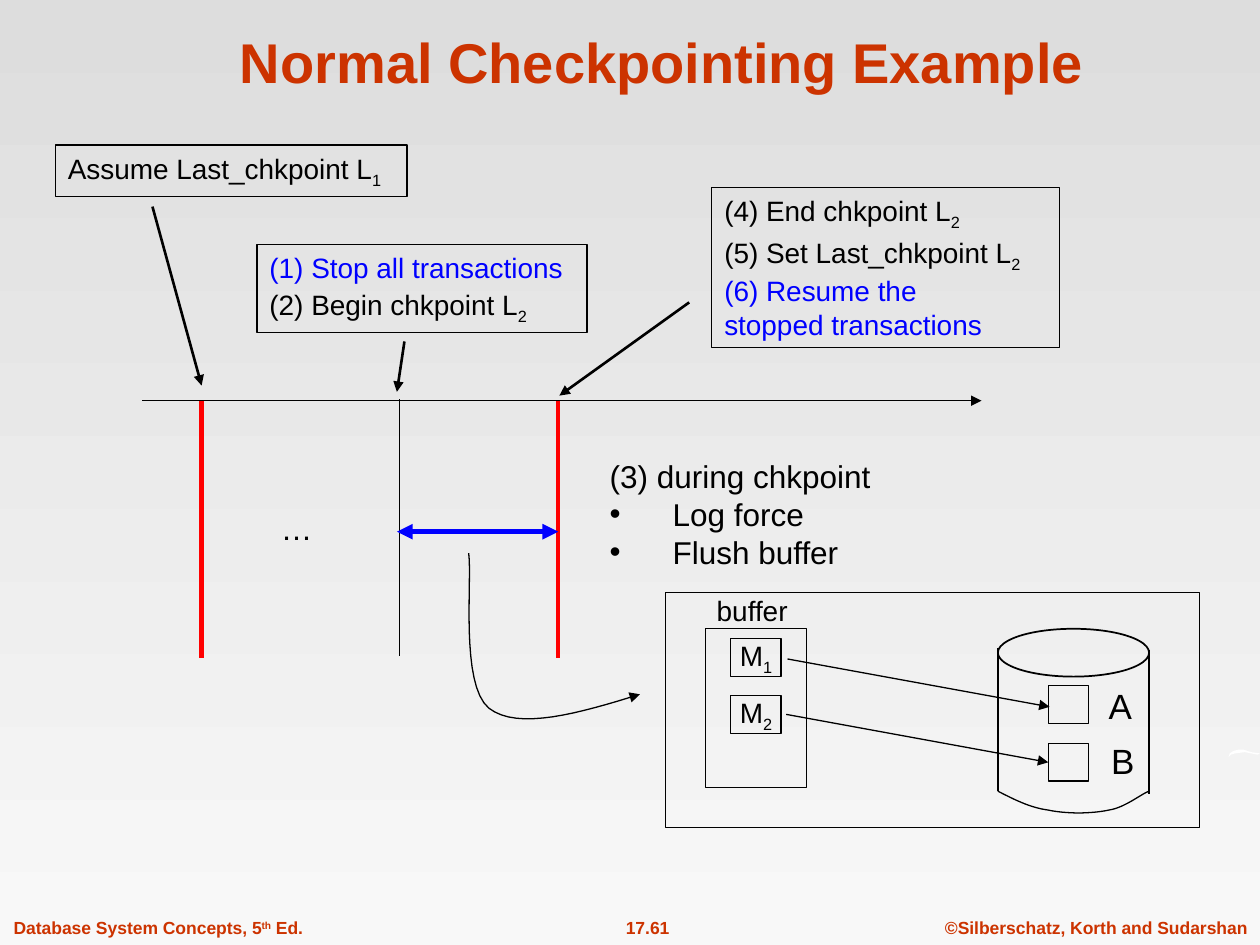
from lxml import etree
from pptx import Presentation
from pptx.dml.color import RGBColor
from pptx.enum.shapes import MSO_CONNECTOR, MSO_SHAPE
from pptx.enum.text import MSO_ANCHOR, PP_ALIGN
from pptx.oxml.ns import qn
from pptx.util import Inches, Pt

BLACK, BLUE, RED, RUST = "000000", "0000FF", "FF0000", "CC3300"


def color(hex_text):
    return RGBColor.from_string(hex_text)


def set_line(shape, hex_text=BLACK, width=0.75, arrows=()):
    """Format the outline; arrows may hold "headEnd" and "tailEnd"."""
    shape.line.color.rgb = color(hex_text)
    shape.line.width = Pt(width)
    for end in arrows:
        etree.SubElement(shape.line._get_or_add_ln(), qn(f"a:{end}"), type="triangle")


def add_line(page, start, end, **line_format):
    line = page.shapes.add_connector(
        MSO_CONNECTOR.STRAIGHT, *map(Inches, start), *map(Inches, end))
    set_line(line, **line_format)
    etree.SubElement(line._element.spPr, qn("a:effectLst"))


def add_arrow(page, start, end, **line_format):
    add_line(page, start, end, arrows=["tailEnd"], **line_format)


def add_shape(page, at, kind=MSO_SHAPE.RECTANGLE, width=0.75):
    shape = page.shapes.add_shape(kind, *map(Inches, at))
    shape.shadow.inherit = False
    shape.fill.background()
    set_line(shape, width=width)
    return shape


def add_path(page, points, fill=None, **line_format):
    """Draw a filled outline, or an open line when there is no fill."""
    corners = [(Inches(x), Inches(y)) for x, y in points]
    builder = page.shapes.build_freeform(*corners[0])
    builder.add_line_segments(corners[1:], close=fill is not None)
    shape = builder.convert_to_shape()
    shape.shadow.inherit = False
    if fill:
        shape.fill.solid()
        shape.fill.fore_color.rgb = color(fill)
        shape.line.fill.background()
    else:
        shape.fill.background()
        set_line(shape, **line_format)


def curve(start, *segments, steps=16):
    """Return points along joined cubic Bezier segments."""
    points = [start]
    for first, second, end in segments:
        corners = (points[-1], first, second, end)
        for step in range(1, steps + 1):
            t = step / steps
            weights = ((1 - t) ** 3, 3 * t * (1 - t) ** 2, 3 * t * t * (1 - t), t ** 3)
            points.append(tuple(
                sum(w * corner[axis] for w, corner in zip(weights, corners))
                for axis in (0, 1)))
    return points


def add_text_box(page, at, wrap=False):
    box = page.shapes.add_textbox(*map(Inches, at))
    box.text_frame.word_wrap = wrap
    return box


def write(box, text, size=16, hex_text=BLACK, bold=False, align=PP_ALIGN.LEFT,
          before=0, shift=-25, bullet=False):
    """Add a paragraph; every second part between bars is raised or lowered."""
    frame = box.text_frame
    para = frame.add_paragraph() if frame.text else frame.paragraphs[0]
    if bullet:
        props = para._p.get_or_add_pPr()
        props.set("marL", str(Inches(0.5)))
        props.set("indent", str(-Inches(0.5)))
        etree.SubElement(props, qn("a:buFont"), typeface="Arial")
        etree.SubElement(props, qn("a:buChar"), char="•")
    para.alignment = align
    para.space_before = Pt(before)
    for index, part in enumerate(text.split("|")):
        span = para.add_run()
        span.text = part
        span.font.name = "Arial"
        span.font.size = Pt(size)
        span.font.bold = bold
        span.font.color.rgb = color(hex_text)
        if index % 2:
            span._r.get_or_add_rPr().set("baseline", str(shift * 1000))


def add_note(page, at, *lines):
    """Add a framed note from (text, colour, space before) lines."""
    note = add_shape(page, at)
    note.text_frame.word_wrap = True
    note.text_frame.vertical_anchor = MSO_ANCHOR.TOP
    for text, hex_text, before in lines:
        write(note, text, hex_text=hex_text, before=before)


def add_frame(page):
    """Add the background, the footer and the title."""
    fill = page.background.fill
    fill.gradient()
    fill.gradient_angle = 270
    for stop, (position, hex_text) in zip(fill.gradient_stops, [(0, "DDDDDD"), (1, "F8F8F8")]):
        stop.position = position
        stop.color.rgb = color(hex_text)
    for left, width, text, align in [
            (7.4, 2.6, "©Silberschatz, Korth and Sudarshan", PP_ALIGN.CENTER),
            (4.61, 1.06, "17.61", PP_ALIGN.CENTER),
            (0.01, 2.8, "Database System Concepts, 5|th| Ed.", PP_ALIGN.LEFT)]:
        footer = add_text_box(page, (left, 7.23, width, 0.27))
        write(footer, text, size=10, hex_text=RUST, bold=True, align=align, shift=30)
    add_path(page, [(9.75, 6.01), (9.76, 5.98), (9.79, 5.96), (9.83, 5.95), (9.87, 5.95),
                    (9.93, 5.97), (10, 5.98), (9.98, 5.99), (9.88, 5.97), (9.8, 5.98),
                    (9.77, 5.99)], fill="FFFFFF")
    title = add_text_box(page, (0.84, 0.13, 8.83, 0.67), wrap=True)
    title.text_frame.vertical_anchor = MSO_ANCHOR.BOTTOM
    write(title, "Normal Checkpointing Example", size=32, hex_text=RUST, bold=True,
          align=PP_ALIGN.CENTER)


def add_timeline(page):
    add_arrow(page, (1.13, 3.18), (7.79, 3.18))
    add_line(page, (3.17, 3.17), (3.17, 5.21))
    for x in (1.6, 4.43):
        add_line(page, (x, 3.18), (x, 5.22), hex_text=RED, width=2.5)
    add_line(page, (3.15, 4.22), (4.43, 4.22), hex_text=BLUE, width=3,
             arrows=["headEnd", "tailEnd"])
    write(add_text_box(page, (2.13, 3.99, 0.45, 0.4)), "…", size=18)
    during = add_text_box(page, (4.74, 3.58, 3.27, 1), wrap=True)
    write(during, "(3) during chkpoint", size=18)
    for action in ("Log force", "Flush buffer"):
        write(during, action, size=18, bullet=True)
    add_path(page, curve((3.72, 4.39), ((3.75, 4.6), (3.65, 5.43), (3.88, 5.62)),
                         ((4.11, 5.8), (4.6, 5.66), (5.08, 5.51))), arrows=["tailEnd"])


def add_notes(page):
    add_note(page, (0.44, 1.15, 2.79, 0.41), ("Assume Last_chkpoint L|1", BLACK, 0))
    add_note(page, (2.04, 1.94, 2.62, 0.7),
             ("(1) Stop all transactions", BLUE, 0), ("(2) Begin chkpoint L|2", BLACK, 2))
    add_note(page, (5.65, 1.49, 2.76, 1.27),
             ("(4) End chkpoint L|2", BLACK, 0), ("(5) Set Last_chkpoint L|2", BLACK, 2),
             ("(6) Resume the", BLUE, 0), ("stopped transactions", BLUE, 0))
    for start, end in [((1.21, 1.64), (1.6, 3.06)), ((3.21, 2.71), (3.15, 3.11)),
                       ((5.47, 2.4), (4.44, 3.14))]:
        add_arrow(page, start, end, width=1.5)


def add_buffer_and_disk(page):
    add_shape(page, (5.28, 4.7, 4.24, 1.87))
    add_shape(page, (5.6, 4.99, 0.8, 1.26))
    write(add_text_box(page, (5.59, 4.66, 0.76, 0.37)), "buffer")
    add_shape(page, (7.92, 4.99, 1.2, 0.38), MSO_SHAPE.OVAL, width=1)
    add_line(page, (7.92, 5.14), (7.92, 6.28))
    add_line(page, (9.12, 5.16), (9.12, 6.3))
    add_path(page, curve((7.92, 6.28), ((8.04, 6.34), (8.17, 6.41), (8.32, 6.43)),
                         ((8.46, 6.46), (8.66, 6.46), (8.8, 6.43)),
                         ((8.93, 6.41), (9.06, 6.3), (9.12, 6.28))))
    for row, (block, letter, left, start_x) in enumerate(
            [("M|1", "A", 8.7, 6.25), ("M|2", "B", 8.72, 6.24)]):
        memory = add_shape(page, (5.8, 5.07 + 0.45 * row, 0.4, 0.3))
        memory.text_frame.word_wrap = False
        write(memory, block, align=PP_ALIGN.CENTER)
        add_shape(page, (8.32, 5.44 + 0.46 * row, 0.32, 0.3))
        write(add_text_box(page, (left, 5.38 + 0.44 * row, 0.38, 0.44)), letter, size=20)
        drop = 0.44 * row
        add_arrow(page, (start_x, 5.23 + drop), (start_x + 2.08, 5.61 + drop))


def main():
    deck = Presentation()
    deck.slide_width, deck.slide_height = Inches(10), Inches(7.5)
    page = deck.slides.add_slide(deck.slide_layouts[6])
    add_frame(page)
    add_timeline(page)
    add_buffer_and_disk(page)
    add_notes(page)
    deck.save("out.pptx")


if __name__ == "__main__":
    main()
